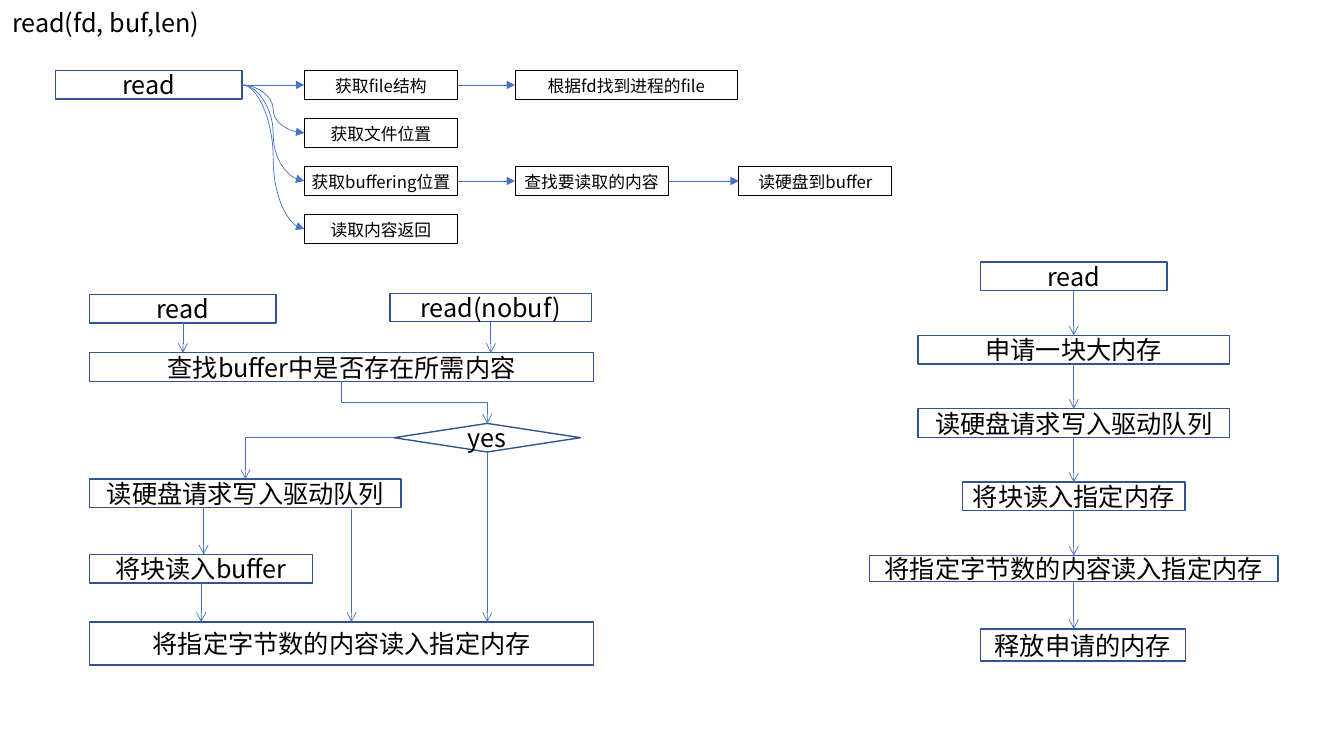
from lxml import etree
from pptx import Presentation
from pptx.dml.color import RGBColor
from pptx.enum import shapes, text
from pptx.oxml import ns
from pptx.util import Cm, Pt

FONT = "Noto Sans CJK SC"
BOX_HEIGHT = 0.72
TOP, LEFT, BOTTOM, RIGHT = range(4)


def colour(value):
    """Turn a hex string into a colour."""
    return RGBColor.from_string(value)


def write(shape, words, size=18, align=text.PP_ALIGN.CENTER,
          anchor=text.MSO_ANCHOR.MIDDLE, wrap=True):
    """Put formatted text into a shape."""
    frame = shape.text_frame
    frame.word_wrap = wrap
    frame.vertical_anchor = anchor
    paragraph = frame.paragraphs[0]
    paragraph.alignment = align
    run = paragraph.add_run()
    run.text = words
    run.font.size = Pt(size)
    run.font.color.rgb = colour("000000")
    run.font.name = FONT
    east_asian = etree.SubElement(run.font._element, ns.qn("a:ea"))
    east_asian.set("typeface", FONT)


def add_title(slide, words):
    """Move the title to the top left corner and fill it."""
    title = slide.shapes.title
    title.left, title.top = Cm(0.05), Cm(0.05)
    title.width, title.height = Cm(24.82), Cm(1.02)
    write(title, words, align=text.PP_ALIGN.LEFT, anchor=text.MSO_ANCHOR.TOP)
    title.text_frame.auto_size = text.MSO_AUTO_SIZE.SHAPE_TO_FIT_TEXT


def add_box(slide, words, left, top, width, height=BOX_HEIGHT,
            kind=shapes.MSO_SHAPE.RECTANGLE, fill=None, line="325491",
            weight=1, **format):
    """Add an outlined shape with text."""
    shape = slide.shapes.add_shape(kind, Cm(left), Cm(top), Cm(width), Cm(height))
    shape.shadow.inherit = False
    if fill:
        shape.fill.solid()
        shape.fill.fore_color.rgb = colour(fill)
    else:
        shape.fill.background()
    shape.line.color.rgb = colour(line)
    shape.line.width = Pt(weight)
    write(shape, words, **format)
    return shape


def add_call(slide, words, left, top, width=3.86):
    """Add a small black box of the call tree."""
    return add_box(slide, words, left, top, width, fill="FFFFFF", line="000000",
                   weight=0.75, size=12, anchor=text.MSO_ANCHOR.TOP, wrap=False)


def add_arrow(slide, begin, end, kind=shapes.MSO_CONNECTOR.STRAIGHT, head="arrow"):
    """Add an arrow between two points."""
    arrow = slide.shapes.add_connector(kind, *map(Cm, begin + end))
    arrow.line.color.rgb = colour("4472C4")
    arrow.line.width = Pt(0.5)
    properties = arrow.element.spPr
    tail = etree.SubElement(properties.find(ns.qn("a:ln")), ns.qn("a:tailEnd"))
    tail.set("type", head)
    etree.SubElement(properties, ns.qn("a:effectLst"))
    return arrow


def join(slide, source, source_site, target, target_site, **format):
    """Glue an arrow to the sides of two shapes."""
    arrow = add_arrow(slide, (0, 0), (1, 1), **format)
    arrow.begin_connect(source, source_site)
    arrow.end_connect(target, target_site)
    return arrow


def add_step_arrow(slide, begin, end):
    """Add an elbow arrow that leaves and arrives vertically."""
    middle_x, middle_y = (begin[0] + end[0]) / 2, (begin[1] + end[1]) / 2
    half_x, half_y = (end[0] - begin[0]) / 2, (end[1] - begin[1]) / 2
    arrow = add_arrow(slide, (middle_x - half_y, middle_y + half_x),
                      (middle_x + half_y, middle_y - half_x),
                      shapes.MSO_CONNECTOR.ELBOW)
    arrow.element.spPr.find(ns.qn("a:xfrm")).set("rot", "5400000")


def add_call_tree(slide):
    """Draw the calls made by read."""
    first_top, step = 1.78, 1.21
    columns = [7.67, 12.98, 18.62]
    rows = [
        [("获取file结构", 3.86), ("根据fd找到进程的file", 5.61)],
        [("获取文件位置", 3.86)],
        [("获取buffering位置", 3.86), ("查找要读取的内容", 3.86), ("读硬盘到buffer", 3.86)],
        [("读取内容返回", 3.86)],
    ]
    root = add_box(slide, "read", 1.4, first_top, 4.7)
    for index, row in enumerate(rows):
        caller = root
        for left, (words, width) in zip(columns, row):
            call = add_call(slide, words, left, first_top + index * step, width)
            join(slide, caller, RIGHT, call, LEFT,
                 kind=shapes.MSO_CONNECTOR.CURVE, head="triangle")
            caller = call


def add_buffered_flow(slide):
    """Draw the read flow that looks in the buffer first."""
    left = 2.26
    add_box(slide, "read", left, 7.42, 4.7)
    add_box(slide, "read(nobuf)", 9.83, 7.39, 5.08)
    add_box(slide, "查找buffer中是否存在所需内容", left, 8.89, 12.7)
    decision = add_box(slide, "yes", 9.93, 10.67, 4.7,
                       kind=shapes.MSO_SHAPE.DIAMOND)
    queue = add_box(slide, "读硬盘请求写入驱动队列", left, 12.07, 7.85)
    add_box(slide, "将块读入buffer", left, 13.97, 5.61)
    add_box(slide, "将指定字节数的内容读入指定内存", left, 15.67, 12.7, 1.09)
    drops = [(4.61, 8.14, 8.89), (12.37, 8.11, 8.89), (5.13, 12.79, 13.97),
             (5.07, 14.69, 15.67), (8.86, 12.83, 15.67), (12.28, 11.39, 15.67)]
    for x, top, bottom in drops:
        add_arrow(slide, (x, top), (x, bottom))
    add_step_arrow(slide, (8.61, 9.61), (12.28, 10.67))
    corner = join(slide, decision, LEFT, queue, TOP,
                  kind=shapes.MSO_CONNECTOR.ELBOW)
    corner.element.spPr.find(ns.qn("a:prstGeom")).set("prst", "bentConnector2")


def add_direct_flow(slide):
    """Draw the read flow that allocates one large block."""
    centre, first_top, step = 27.06, 6.6, 1.85
    steps = [
        ("read", 4.7, BOX_HEIGHT, 0),
        ("申请一块大内存", 7.85, BOX_HEIGHT, 0),
        ("读硬盘请求写入驱动队列", 7.85, BOX_HEIGHT, 0),
        ("将块读入指定内存", 5.61, BOX_HEIGHT, 0),
        ("将指定字节数的内容读入指定内存", 10.29, 0.66, 0),
        ("释放申请的内存", 5.16, 0.81, 0.23),
    ]
    bottom = None
    for index, (words, width, height, shift) in enumerate(steps):
        top = first_top + index * step
        add_box(slide, words, centre + shift - width / 2, top, width, height)
        if bottom:
            add_arrow(slide, (centre, bottom), (centre, top))
        bottom = top + height


def main():
    """Build the slide and save it."""
    presentation = Presentation()
    presentation.slide_width, presentation.slide_height = Cm(33.87), Cm(19.05)
    slide = presentation.slides.add_slide(presentation.slide_layouts[5])
    add_title(slide, "read(fd, buf,len)")
    add_call_tree(slide)
    add_buffered_flow(slide)
    add_direct_flow(slide)
    presentation.save("out.pptx")


main()
